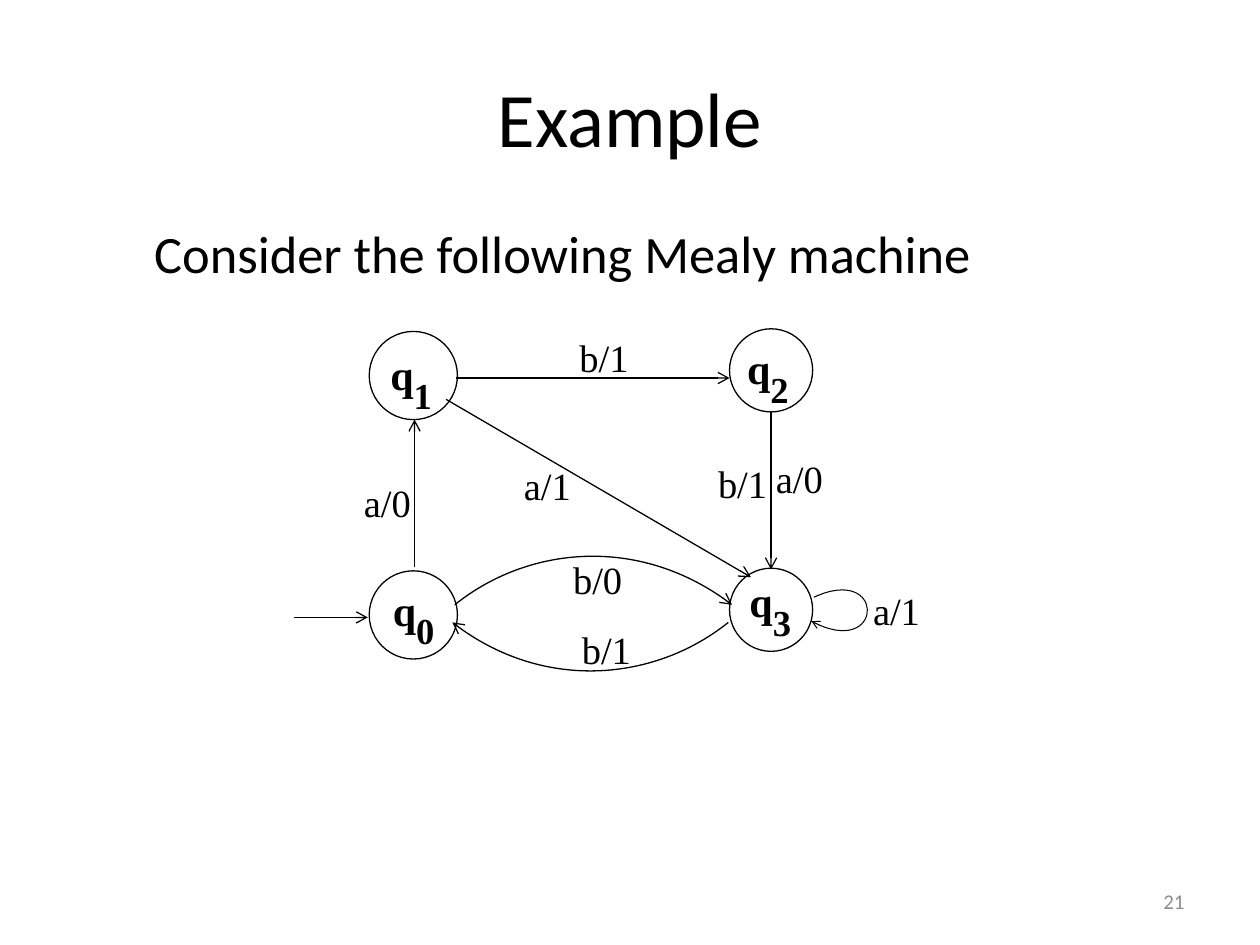
import pptx
import pptx.dml.color
import pptx.enum.shapes
import pptx.enum.text
import pptx.oxml
import pptx.oxml.ns
import pptx.util
from lxml import etree

Pt = pptx.util.Pt
qn = pptx.oxml.ns.qn
ALIGN = pptx.enum.text.PP_ALIGN
ANCHOR = pptx.enum.text.MSO_ANCHOR

COLORS = {"ink": "000000", "paper": "FFFFFF", "muted": "8C8C8C"}

# States: name index, circle (left, top, diameter), text (left, top)
STATES = [
    ("0", (211, 326.2, 50.4), (217.4, 318.2)),
    ("1", (211, 189.4, 50.4), (216, 183.6)),
    ("2", (416.9, 187.9, 47.5), (419.8, 180)),
    ("3", (416.9, 324.7, 47.5), (421.2, 313.2)),
]

# Straight transitions: from, to
ARROWS = [
    ((167.8, 352.8), (210.2, 352.8)),  # start to q0
    ((236.9, 324), (236.9, 239.8)),    # q0 to q1
    ((260.6, 216), (416.9, 216)),      # q1 to q2
    ((254.9, 228.2), (429.1, 329.8)),  # q1 to q3
    ((440.6, 235.4), (440.6, 325.4)),  # q2 to q3
]

# Curved transitions: four Bezier points, line width, arrowhead size
CURVES = [
    ([(259.9, 345.6), (300.2, 313.2), (365.8, 305.3), (418.3, 345.6)], 0.75, "med"),
    ([(416.2, 355.7), (375.8, 388.1), (310.3, 396), (258.5, 355.7)], 0.75, "med"),
    ([(465.1, 341.3), (505.4, 322.6), (505.4, 377.3), (463.7, 355)], 0.6, "sm"),
]

# Transition labels: text, left, top
LABELS = [
    ("a/0", 200.9, 270), ("b/1", 324, 187.2), ("a/1", 292.3, 260.6),
    ("b/1", 403.2, 259.2), ("a/0", 436.3, 256.3), ("b/0", 320.4, 313.9),
    ("b/1", 325.4, 354.2), ("a/1", 491.8, 331.9),
]


def color(name):
    return pptx.dml.color.RGBColor.from_string(COLORS[name])


def add_text(page, text, left, top, width, height, *, size, font="Calibri",
             ink="ink", bold=False, align=ALIGN.LEFT, anchor=ANCHOR.TOP,
             subscript="", subscript_size=36):
    box = page.shapes.add_textbox(Pt(left), Pt(top), Pt(width), Pt(height))
    frame = box.text_frame
    frame.word_wrap = True
    frame.vertical_anchor = anchor
    para = frame.paragraphs[0]
    para.alignment = align
    for content, points in ((text, size), (subscript, subscript_size)):
        if not content:
            continue
        span = para.add_run()
        span.text = content
        span.font.name = font
        span.font.size = Pt(points)
        span.font.bold = bold
        span.font.color.rgb = color(ink)
    if subscript:
        span.font._element.set("baseline", "-30000")


def style_line(shape, width=0.75, head=None):
    shape.line.color.rgb = color("ink")
    shape.line.width = Pt(width)
    if head:
        etree.SubElement(shape.line._get_or_add_ln(), qn("a:tailEnd"),
                         type="arrow", w=head, len=head)


def add_circle(page, left, top, diameter):
    circle = page.shapes.add_shape(pptx.enum.shapes.MSO_SHAPE.OVAL, Pt(left),
                                   Pt(top), Pt(diameter), Pt(diameter))
    circle.shadow.inherit = False
    circle.fill.solid()
    circle.fill.fore_color.rgb = color("paper")
    style_line(circle)


def add_arrow(page, start, end):
    arrow = page.shapes.add_connector(pptx.enum.shapes.MSO_CONNECTOR.STRAIGHT,
                                      *(Pt(value) for value in start + end))
    style_line(arrow, head="med")
    etree.SubElement(arrow._element.spPr, qn("a:effectLst"))


def add_curve(page, points, width, head):
    start, *others = [(Pt(x), Pt(y)) for x, y in points]
    builder = page.shapes.build_freeform(*start)
    builder.add_line_segments(others, close=False)
    curve = builder.convert_to_shape()
    # Join the three line segments into one cubic Bezier segment
    outline = next(curve._element.iter(qn("a:path")))
    bezier = etree.SubElement(outline, qn("a:cubicBezTo"))
    for segment in outline.findall(qn("a:lnTo")):
        bezier.append(segment[0])
        outline.remove(segment)
    curve.shadow.inherit = False
    curve.fill.background()
    style_line(curve, width, head)


def main():
    deck = pptx.Presentation()
    deck.slide_width, deck.slide_height = Pt(720), Pt(540)
    page = deck.slides.add_slide(deck.slide_layouts[6])

    # Title, introduction and page number
    add_text(page, "Example", 36, 21.6, 648, 90, size=44,
             align=ALIGN.CENTER, anchor=ANCHOR.MIDDLE)
    add_text(page, "Consider the following Mealy machine", 81, 123, 585, 45, size=30)
    add_text(page, "21", 516, 500.5, 168, 28.8, size=12, ink="muted",
             align=ALIGN.RIGHT, anchor=ANCHOR.MIDDLE)

    # States
    for index, circle, (left, top) in STATES:
        add_circle(page, *circle)
        add_text(page, "q", left, top, 69, 32.4, size=24, bold=True,
                 font="Times New Roman", subscript=index)

    # Transitions
    for start, end in ARROWS:
        add_arrow(page, start, end)
    for points, width, head in CURVES:
        add_curve(page, points, width, head)
    for text, left, top in LABELS:
        add_text(page, text, left, top, 72.7, 29.5, size=22, font="Times New Roman")

    deck.save("out.pptx")


if __name__ == "__main__":
    main()
